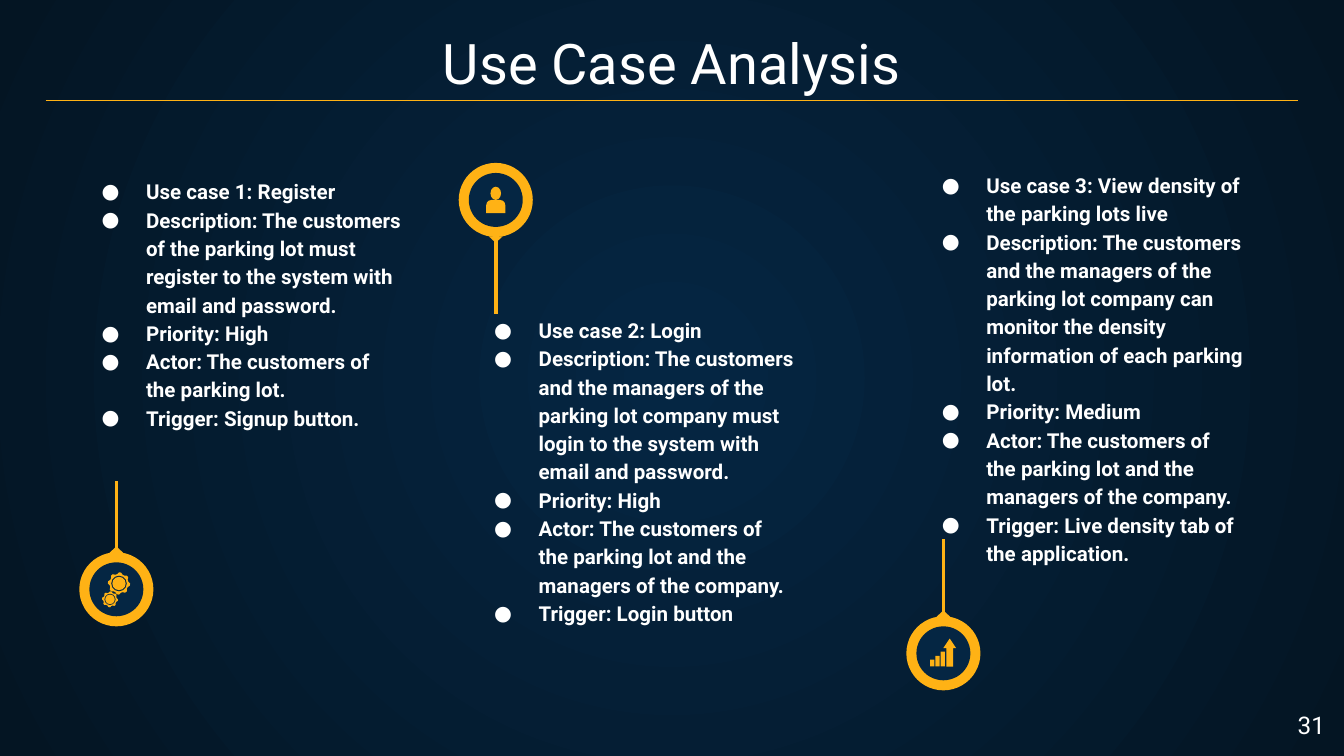
from math import cos, pi, sin

from lxml.etree import SubElement
from pptx import Presentation
from pptx.dml.color import RGBColor
from pptx.enum.shapes import MSO_CONNECTOR, MSO_SHAPE as Shape
from pptx.enum.text import MSO_ANCHOR as Anchor, MSO_AUTO_SIZE, PP_ALIGN as Align
from pptx.oxml.ns import qn
from pptx.util import Cm, Pt

FONT = "Roboto"
WHITE, AMBER, NAVY, MIDNIGHT = "FFFFFF", "FFB215", "052643", "041523"
COMPARISON_LAYOUT = 4

# Left, top, width, height in cm, then the lines of each use case
USE_CASES = [
    ((1.24, 3.07, 6.63, 6.55), [
        "Use case 1: Register",
        "Description: The customers of the parking lot must register to the "
        "system with email and password.",
        "Priority: High",
        "Actor: The customers of the parking lot.",
        "Trigger: Signup button.",
    ]),
    ((8.66, 5.69, 6.63, 6.55), [
        "Use case 2: Login",
        "Description: The customers and the managers of the parking lot company "
        "must login to the system with email and password.",
        "Priority: High",
        "Actor: The customers of the parking lot and the managers of the company.",
        "Trigger: Login button",
    ]),
    ((17.12, 2.95, 6.63, 7.9), [
        "Use case 3: View density of the parking lots live",
        "Description: The customers and the managers of the parking lot company "
        "can monitor the density information of each parking lot.",
        "Priority: Medium",
        "Actor: The customers of the parking lot and the managers of the company.",
        "Trigger: Live density tab of the application.",
    ]),
]


def color(hex_code):
    return RGBColor.from_string(hex_code)


def paint(shape, fill):
    shape.shadow.inherit = False
    shape.fill.solid()
    shape.fill.fore_color.rgb = color(fill)
    shape.line.fill.background()


def add_solid(slide, kind, left, top, width, height, fill=AMBER):
    solid = slide.shapes.add_shape(kind, Cm(left), Cm(top), Cm(width), Cm(height))
    paint(solid, fill)
    return solid


def add_disc(slide, x, y, radius, fill=AMBER):
    add_solid(slide, Shape.OVAL, x - radius, y - radius, 2 * radius, 2 * radius, fill)


def add_polygon(slide, points):
    corners = [(Cm(x), Cm(y)) for x, y in points]
    builder = slide.shapes.build_freeform(*corners[0])
    builder.add_line_segments(corners[1:], close=True)
    paint(builder.convert_to_shape(), AMBER)


def add_line(slide, start, end, weight):
    line = slide.shapes.add_connector(
        MSO_CONNECTOR.STRAIGHT, *(Cm(length) for length in (*start, *end)))
    line.line.color.rgb = color(AMBER)
    line.line.width = Pt(weight)
    SubElement(line.element.spPr, qn("a:effectLst"))


def set_background(slide):
    """Radial gradient that darkens towards the corners."""
    fill = slide.background.fill
    fill.gradient()
    for stop, position, shade in zip(fill.gradient_stops, (0, 1), (NAVY, MIDNIGHT)):
        stop.position = position
        stop.color.rgb = color(shade)
    gradient = slide.element.find(".//" + qn("a:gradFill"))
    gradient.remove(gradient.find(qn("a:lin")))
    circle = SubElement(gradient, qn("a:path"), {"path": "circle"})
    SubElement(circle, qn("a:fillToRect"), dict.fromkeys("ltrb", "50000"))


def set_text(holder, box, lines, size, anchor=Anchor.TOP, align=Align.LEFT, bold=False):
    holder.left, holder.top, holder.width, holder.height = map(Cm, box)
    frame = holder.text_frame
    frame.text = "\n".join(lines)
    frame.word_wrap = True
    frame.auto_size = MSO_AUTO_SIZE.NONE
    frame.vertical_anchor = anchor
    frame.margin_left = frame.margin_right = Cm(0.25)
    frame.margin_top = frame.margin_bottom = Cm(0.25)
    for paragraph in frame.paragraphs:
        paragraph.alignment = align
        paragraph.space_before = paragraph.space_after = Pt(0)
        for run in paragraph.runs:
            run.font.name = FONT
            run.font.size = Pt(size)
            run.font.bold = bold
            run.font.color.rgb = color(WHITE)


def add_bullets(holder):
    for paragraph in holder.text_frame.paragraphs:
        paragraph.line_spacing = 1.15
        properties = paragraph._p.get_or_add_pPr()
        properties.set("marL", str(Cm(1.27)))
        properties.set("indent", str(Cm(-0.84)))
        bullet_color = SubElement(properties, qn("a:buClr"))
        SubElement(bullet_color, qn("a:srgbClr"), val=WHITE)
        SubElement(properties, qn("a:buFont"), typeface=FONT)
        SubElement(properties, qn("a:buChar"), char="●")


def add_marker(slide, x, y, stem_end):
    """Ring centred on x, y with a pointer and a stem towards stem_end."""
    side = 1 if stem_end > y else -1
    add_disc(slide, x, y, 0.7)
    base, tip = y + side * 0.69, y + side * 0.81
    add_polygon(slide, [(x, tip), (x - 0.13, base), (x + 0.13, base)])
    add_line(slide, (x, y + side * 0.66), (x, stem_end), 1.95)
    add_disc(slide, x, y, 0.51, NAVY)


def add_gear(slide, x, y, radius, teeth=8):
    rim = []
    for step in range(4 * teeth):
        angle = 2 * pi * step / (4 * teeth)
        reach = radius if step % 4 < 2 else 0.85 * radius
        rim.append((x + reach * cos(angle), y + reach * sin(angle)))
    add_polygon(slide, rim)
    add_disc(slide, x, y, 0.7 * radius, NAVY)
    add_disc(slide, x, y, 0.6 * radius)


def add_gears_icon(slide, x, y):
    add_gear(slide, x + 0.05, y - 0.11, 0.21)
    add_gear(slide, x - 0.12, y + 0.19, 0.15)


def add_person_icon(slide, x, y):
    add_solid(slide, Shape.OVAL, x - 0.1, y - 0.25, 0.2, 0.25)
    shoulders = add_solid(
        slide, Shape.ROUND_2_SAME_RECTANGLE, x - 0.18, y, 0.36, 0.25)
    shoulders.adjustments[0] = 0.4


def add_growth_icon(slide, x, y):
    for step, height in enumerate((0.13, 0.2, 0.28)):
        add_solid(slide, Shape.RECTANGLE,
                  x - 0.25 + 0.1 * step, y + 0.25 - height, 0.08, height)
    arrow = add_solid(slide, Shape.UP_ARROW, x, y - 0.28, 0.24, 0.53)
    arrow.adjustments[0] = 0.55
    arrow.adjustments[1] = 0.75


def main():
    deck = Presentation()
    deck.slide_width, deck.slide_height = Cm(25.4), Cm(14.29)
    slide = deck.slides.add_slide(deck.slide_layouts[COMPARISON_LAYOUT])
    set_background(slide)

    title, *bodies = slide.placeholders
    set_text(title, (0.86, 0.38, 23.67, 1.68), ["Use Case Analysis"], 30,
             Anchor.BOTTOM, Align.CENTER)
    for body, (box, lines) in zip(bodies, USE_CASES):
        set_text(body, box, lines, 11, bold=True)
        add_bullets(body)
    for unused in bodies[len(USE_CASES):]:
        unused.element.getparent().remove(unused.element)

    for add_icon, x, y, stem_end in (
        (add_gears_icon, 2.2, 11.14, 9.09),
        (add_person_icon, 9.37, 3.78, 5.94),
        (add_growth_icon, 17.83, 12.35, 10.19),
    ):
        add_marker(slide, x, y, stem_end)
        add_icon(slide, x, y)

    add_line(slide, (0.86, 1.9), (24.54, 1.9), 0.75)
    page_number = slide.shapes.add_textbox(0, 0, 0, 0)
    set_text(page_number, (23.77, 13.18, 1.52, 1.09), ["31"], 13, align=Align.RIGHT)
    deck.save("out.pptx")


if __name__ == "__main__":
    main()
